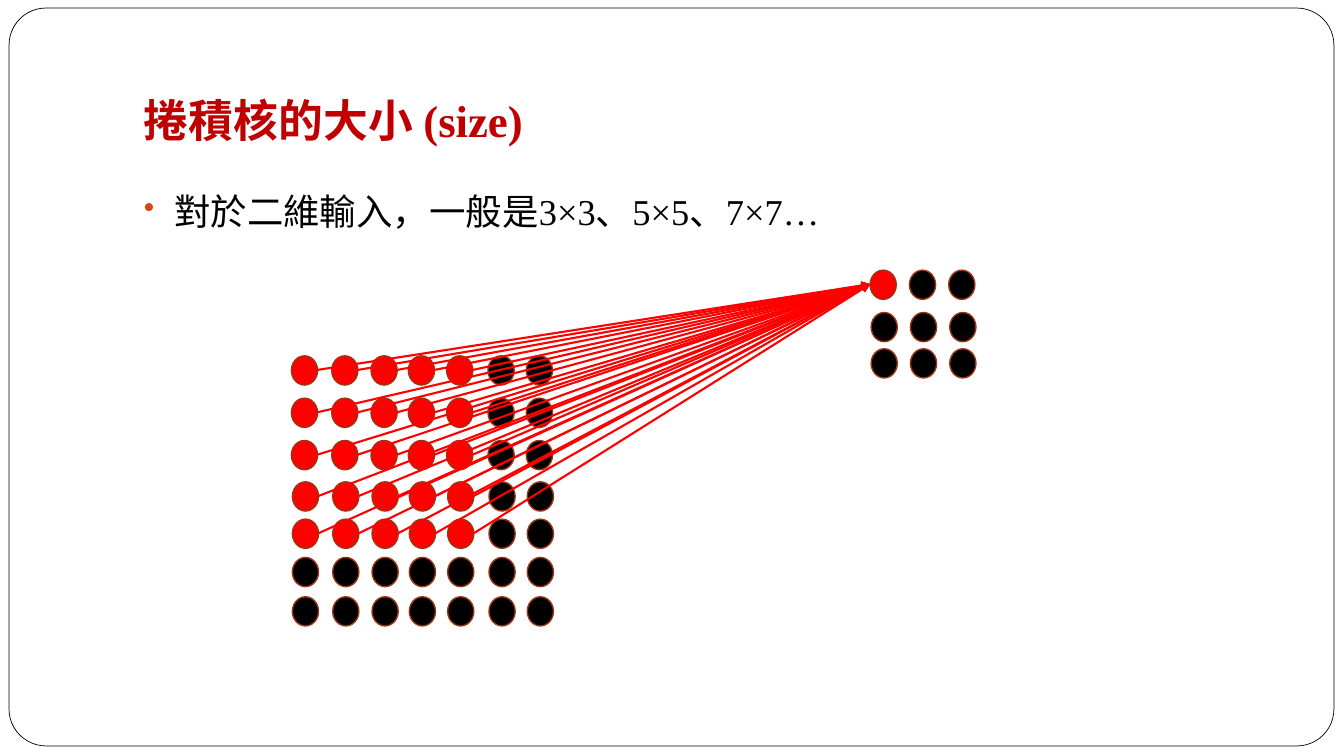
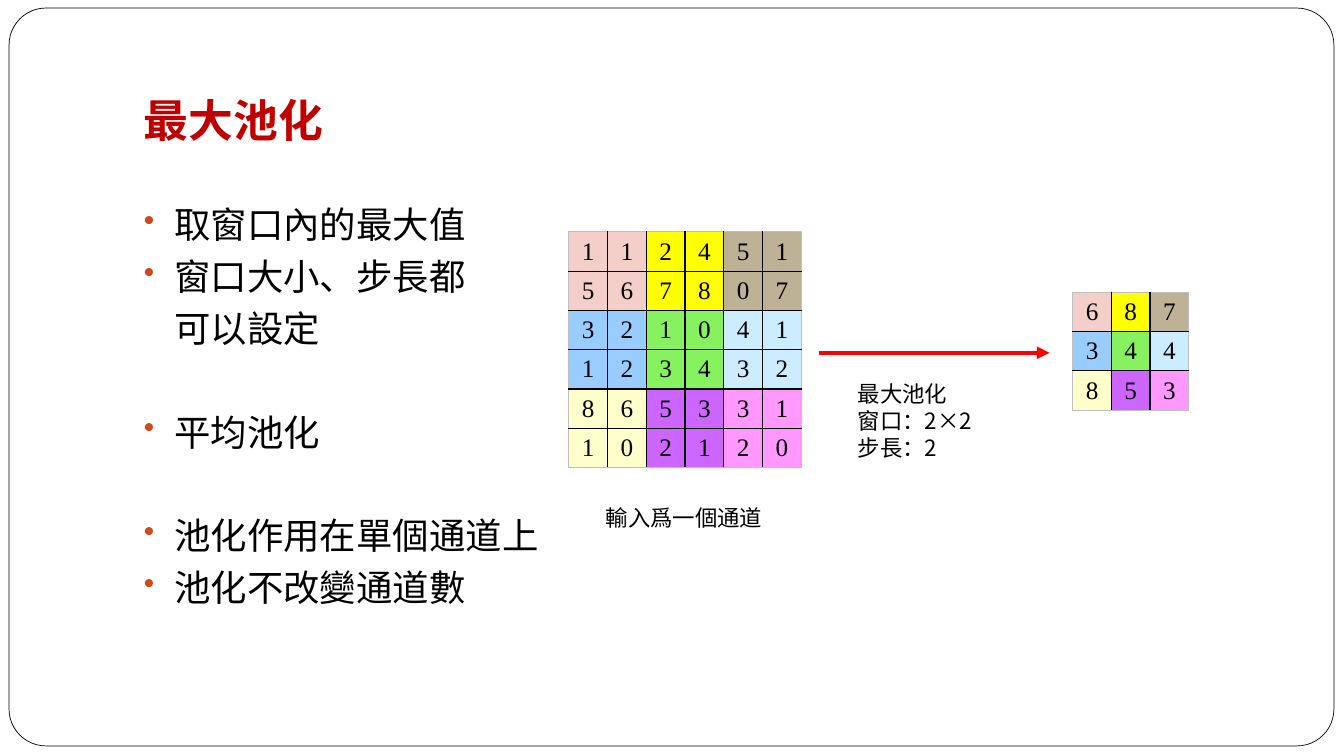
from lxml.etree import SubElement
from pptx import Presentation
from pptx.dml.color import RGBColor
from pptx.enum.shapes import MSO_CONNECTOR, MSO_SHAPE
from pptx.enum.text import MSO_ANCHOR, PP_ALIGN
from pptx.oxml.ns import qn
from pptx.util import Pt

PX = 9144  # EMU per px, 100 px to the inch

BLACK = RGBColor(0x00, 0x00, 0x00)
WHITE = RGBColor(0xFF, 0xFF, 0xFF)
RED = RGBColor(0xFF, 0x00, 0x00)
TITLE_RED = RGBColor(0xC0, 0x00, 0x00)
BULLET_ORANGE = RGBColor(0xD3, 0x48, 0x17)
DOT_EDGE = RGBColor(0x9C, 0x35, 0x11)
TABLE_EDGE = RGBColor(0xBF, 0xBF, 0xBF)
WINDOW_COLORS = [
    [RGBColor(0xF4, 0xCE, 0xC9), RGBColor(0xFF, 0xFF, 0x00), RGBColor(0xBD, 0xB1, 0x96)],
    [RGBColor(0x99, 0xCC, 0xFF), RGBColor(0x86, 0xF2, 0x60), RGBColor(0xCC, 0xEC, 0xFF)],
    [RGBColor(0xFF, 0xFF, 0xCC), RGBColor(0xCC, 0x66, 0xFF), RGBColor(0xFF, 0x99, 0xFF)],
]

SERIF = "Times New Roman"
SANS = "Noto Sans CJK SC"
DOT_WIDTH, DOT_HEIGHT = 26, 29
BULLET_INDENT = 30
LINE_GAP, SECTION_GAP = 5.8, 42.8


def px(*lengths):
    return [length * PX for length in lengths]


class Deck:
    def __init__(self):
        self.presentation = Presentation()
        self.presentation.slide_width, self.presentation.slide_height = px(1333, 750)
        self.slide = None

    def add_slide(self, title):
        self.slide = self.presentation.slides.add_slide(self.presentation.slide_layouts[6])
        frame = self.shape(MSO_SHAPE.ROUNDED_RECTANGLE, (9, 8, 1314, 732), WHITE, BLACK, 0.5)
        frame.adjustments[0] = 0.05
        heading = self.text_frame((133, 30, 1133, 125))
        heading.vertical_anchor = MSO_ANCHOR.BOTTOM
        heading.margin_bottom = 10 * PX
        heading.text = title
        self.style(heading.paragraphs[0], 32, color=TITLE_RED, bold=True)

    def style(self, paragraph, size, latin=SERIF, color=BLACK, bold=False):
        font = paragraph.font
        font.size, font.name, font.bold = Pt(size), latin, bold
        font.color.rgb = color
        SubElement(font._element, qn("a:ea"), typeface=SANS)

    def shape(self, preset, box, fill, edge=None, edge_width=1):
        shape = self.slide.shapes.add_shape(preset, *px(*box))
        shape.shadow.inherit = False
        shape.fill.solid()
        shape.fill.fore_color.rgb = fill
        if edge is None:
            shape.line.fill.background()
        else:
            shape.line.color.rgb = edge
            shape.line.width = Pt(edge_width)
        return shape

    def text_frame(self, box):
        frame = self.slide.shapes.add_textbox(*px(*box)).text_frame
        frame.word_wrap = True
        return frame

    def body(self, box, *entries):
        """Each entry is (text, has bullet, space before in points)."""
        frame = self.text_frame(box)
        for index, (text, bulleted, gap) in enumerate(entries):
            paragraph = frame.add_paragraph() if index else frame.paragraphs[0]
            paragraph.text = text
            if index:
                paragraph.space_before = Pt(gap)
            properties = paragraph._p.get_or_add_pPr()
            properties.set("marL", str(BULLET_INDENT * PX))
            properties.set("indent", str(-BULLET_INDENT * PX if bulleted else 0))
            if bulleted:
                color = SubElement(properties, qn("a:buClr"))
                SubElement(color, qn("a:srgbClr"), val=str(BULLET_ORANGE))
                SubElement(properties, qn("a:buSzPct"), val="85000")
                SubElement(properties, qn("a:buChar"), char="•")
            self.style(paragraph, 26)

    def caption(self, box, *lines):
        frame = self.shape(MSO_SHAPE.RECTANGLE, box, WHITE).text_frame
        frame.word_wrap = True
        frame.vertical_anchor = MSO_ANCHOR.TOP
        frame.text = "\n".join(lines)
        for paragraph in frame.paragraphs:
            paragraph.alignment = PP_ALIGN.LEFT
            self.style(paragraph, 16, latin=SANS)

    def dot_grid(self, columns, rows, is_active):
        """Draw dots at columns x (top, shift) rows and return the boxes of the active ones."""
        active = []
        for row, (top, shift) in enumerate(rows):
            for column, left in enumerate(columns):
                box = (left + shift, top, DOT_WIDTH, DOT_HEIGHT)
                lit = is_active(row, column)
                self.shape(MSO_SHAPE.OVAL, box, RED if lit else BLACK, DOT_EDGE)
                if lit:
                    active.append(box)
        return active

    def arrow(self, start, end, width):
        arrow = self.slide.shapes.add_connector(MSO_CONNECTOR.STRAIGHT, *px(*start, *end))
        arrow.line.color.rgb = RED
        arrow.line.width = Pt(width)
        SubElement(arrow.line._get_or_add_ln(), qn("a:tailEnd"), type="triangle")
        SubElement(arrow._element.spPr, qn("a:effectLst"))

    def number_table(self, box, numbers, window):
        """Fill a grid of numbers, coloured in square windows of the given size."""
        row_count, column_count = len(numbers), len(numbers[0])
        table = self.slide.shapes.add_table(row_count, column_count, *px(*box)).table
        table.first_row = table.horz_banding = False
        for row, values in enumerate(numbers):
            for column, value in enumerate(values):
                cell = table.cell(row, column)
                cell.text = str(value)
                cell.vertical_anchor = MSO_ANCHOR.MIDDLE
                cell.margin_top = cell.margin_bottom = 2 * PX
                paragraph = cell.text_frame.paragraphs[0]
                paragraph.alignment = PP_ALIGN.CENTER
                self.style(paragraph, 18)
                outer_sides = {
                    "a:lnL": column == 0,
                    "a:lnR": column == column_count - 1,
                    "a:lnT": row == 0,
                    "a:lnB": row == row_count - 1,
                }
                for side, is_outer in outer_sides.items():
                    self.cell_border(cell, side, TABLE_EDGE if is_outer else BLACK)
                cell.fill.solid()
                cell.fill.fore_color.rgb = WINDOW_COLORS[row // window][column // window]

    def cell_border(self, cell, side, color):
        border = SubElement(cell._tc.get_or_add_tcPr(), qn(side), w=str(Pt(1)))
        fill = SubElement(border, qn("a:solidFill"))
        SubElement(fill, qn("a:srgbClr"), val=str(color))


def max_pool(numbers, window):
    starts = range(0, len(numbers), window)
    return [
        [max(max(line[left:left + window]) for line in numbers[top:top + window]) for left in starts]
        for top in starts
    ]


def add_kernel_size(deck):
    deck.add_slide("捲積核的大小 (size)")
    deck.body((133, 183, 1133, 60), ("對於二維輸入，一般是3×3、5×5、7×7…", True, 0))
    output_rows = [(268, 0), (310, 1), (346, 1)]
    [target] = deck.dot_grid([863, 902, 941], output_rows, lambda row, column: row == column == 0)
    kernel = 5
    input_columns = [289, 329, 368, 405, 443, 484, 522]
    input_rows = [(353, 0), (395, 0), (437, 0), (478, 1), (515, 1), (553, 1), (592, 1)]
    sources = deck.dot_grid(input_columns, input_rows, lambda row, column: max(row, column) < kernel)
    tip = (target[0], target[1] + DOT_HEIGHT // 2)
    for left, top, width, height in sources:
        deck.arrow((left + width, top + height // 2), tip, 1.5)


def add_max_pooling(deck):
    deck.add_slide("最大池化")
    numbers = [
        [1, 1, 2, 4, 5, 1],
        [5, 6, 7, 8, 0, 7],
        [3, 2, 1, 0, 4, 1],
        [1, 2, 3, 4, 3, 2],
        [8, 6, 5, 3, 3, 1],
        [1, 0, 2, 1, 2, 0],
    ]
    window = 2
    deck.number_table((564, 230, 231, 234), numbers, window)
    deck.number_table((1064, 290, 115, 117), max_pool(numbers, window), 1)
    deck.caption((591, 495, 177, 46), "輸入爲一個通道")
    deck.arrow((812, 350), (1041, 350), 3)
    deck.caption((841, 372, 177, 98), "最大池化", "窗口：2×2", "步長：2")
    deck.body(
        (133, 196, 430, 430),
        ("取窗口內的最大值", True, LINE_GAP),
        ("窗口大小、步長都", True, LINE_GAP),
        ("可以設定", False, LINE_GAP),
        ("平均池化", True, SECTION_GAP),
        ("池化作用在單個通道上", True, SECTION_GAP),
        ("池化不改變通道數", True, LINE_GAP),
    )


def main():
    deck = Deck()
    add_kernel_size(deck)
    add_max_pooling(deck)
    deck.presentation.save("out.pptx")


if __name__ == "__main__":
    main()
